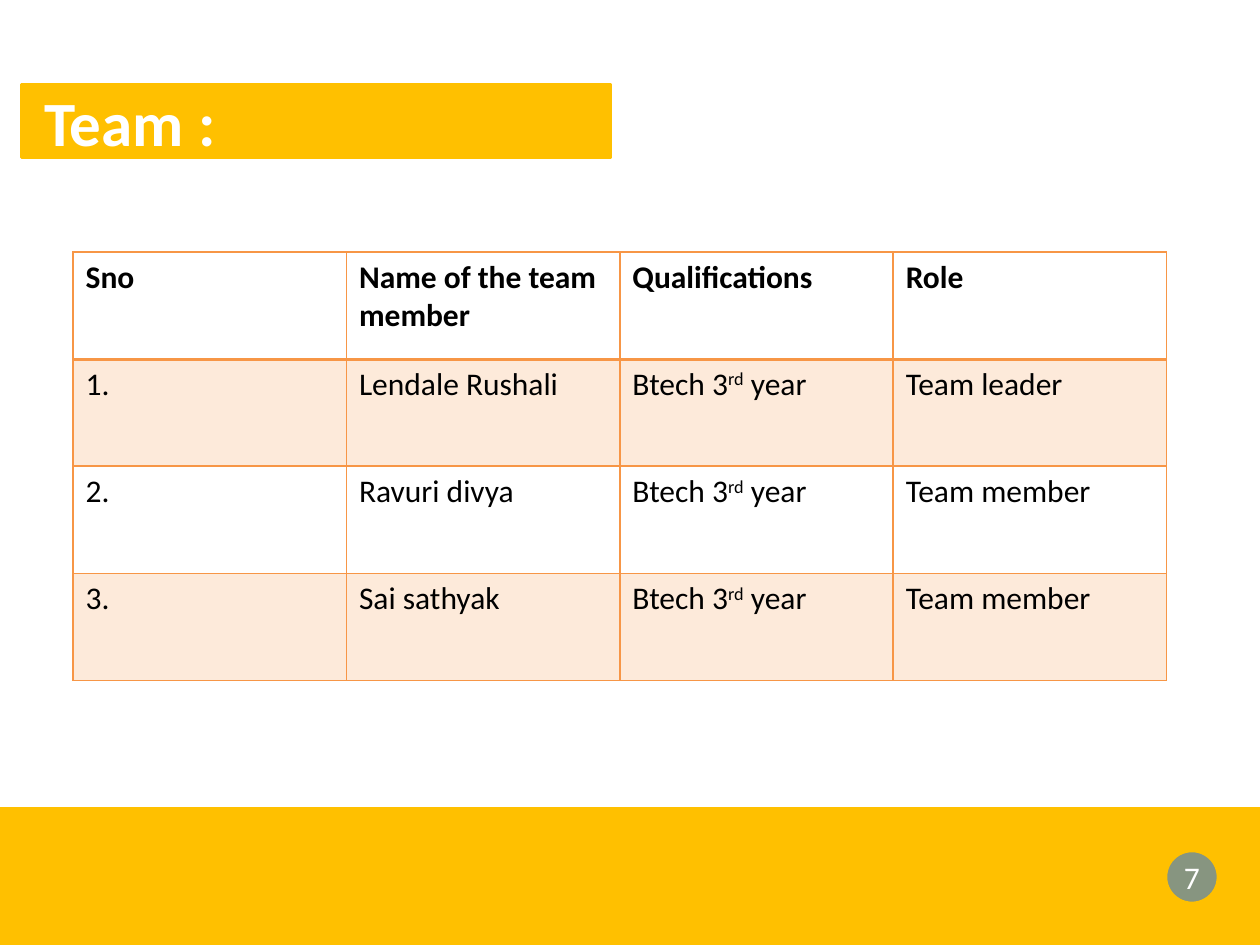
from dataclasses import dataclass

from lxml.etree import SubElement
from pptx import Presentation
from pptx.dml.color import RGBColor
from pptx.enum.shapes import MSO_SHAPE
from pptx.enum.text import MSO_ANCHOR, MSO_AUTO_SIZE, PP_ALIGN
from pptx.oxml.ns import qn
from pptx.util import Inches, Pt

COLORS = {
    "gold": "FFC000",
    "orange": "F79646",
    "blue": "4F81BD",
    "white": "FFFFFF",
    "black": "000000",
}
FONT = "Calibri"
HEADINGS = ("Sno", "Name of the team member", "Qualifications", "Role")
COLUMN_WIDTH = 2.17
ROW_HEIGHT = 0.85


@dataclass
class Member:
    name: str
    role: str
    qualification: tuple[str, str, str] = ("Btech 3", "rd", " year")


MEMBERS = [
    Member("Lendale Rushali", "Team leader"),
    Member("Ravuri divya", "Team member"),
    Member("Sai sathyak", "Team member"),
]


def rgb(name: str) -> RGBColor:
    return RGBColor.from_string(COLORS[name])


def style_runs(paragraph, size: int, color: str, bold: bool = False) -> None:
    for run in paragraph.runs:
        run.font.name = FONT
        run.font.size = Pt(size)
        run.font.bold = bold
        run.font.color.rgb = rgb(color)


def paint(shape, color: str) -> None:
    shape.fill.solid()
    shape.fill.fore_color.rgb = rgb(color)
    shape.line.color.rgb = rgb("gold")
    shape.line.width = Pt(2)


def set_opacity(properties, percent: int) -> None:
    color = properties.find(qn("a:solidFill")).find(qn("a:srgbClr"))
    SubElement(color, qn("a:alpha")).set("val", str(percent * 1000))


def add_gold_shape(slide, kind, left: float, top: float, width: float, height: float, color: str):
    shape = slide.shapes.add_shape(kind, Inches(left), Inches(top), Inches(width), Inches(height))
    shape.shadow.inherit = False
    paint(shape, color)
    return shape


def add_title(slide) -> None:
    title = slide.shapes.title
    title.left, title.top = Inches(0.17), Inches(0.67)
    title.width, title.height = Inches(4.67), Inches(0.58)
    paint(title, "gold")
    frame = title.text_frame
    frame.text = "Team :"
    frame.auto_size = MSO_AUTO_SIZE.NONE
    frame.vertical_anchor = MSO_ANCHOR.MIDDLE
    frame.margin_left = Inches(0.18)
    frame.paragraphs[0].alignment = PP_ALIGN.LEFT
    style_runs(frame.paragraphs[0], 36, "white", bold=True)


def add_borders(cell, bottom_width: int) -> None:
    properties = cell._tc.get_or_add_tcPr()
    for side, width in (("L", 1), ("R", 1), ("T", 1), ("B", bottom_width)):
        border = SubElement(properties, qn(f"a:ln{side}"), w=str(Pt(width)))
        fill = SubElement(border, qn("a:solidFill"))
        SubElement(fill, qn("a:srgbClr"), val=COLORS["orange"])


def fill_cell(cell, content: str | tuple[str, str, str], row: int) -> None:
    paragraph = cell.text_frame.paragraphs[0]
    if isinstance(content, str):
        paragraph.text = content
    else:
        for part in content:
            paragraph.add_run().text = part
        paragraph.runs[1]._r.get_or_add_rPr().set("baseline", "30000")
    style_runs(paragraph, 18, "black", bold=row == 0)
    add_borders(cell, 2 if row == 0 else 1)
    if row % 2:
        cell.fill.solid()
        cell.fill.fore_color.rgb = rgb("orange")
        set_opacity(cell._tc.tcPr, 20)
    else:
        cell.fill.background()


def add_team_table(slide) -> None:
    rows = [HEADINGS] + [
        (f"{number}.", member.name, member.qualification, member.role)
        for number, member in enumerate(MEMBERS, 1)
    ]
    table = slide.shapes.add_table(
        len(rows), len(HEADINGS), Inches(0.58), Inches(2),
        Inches(COLUMN_WIDTH * len(HEADINGS)), Inches(ROW_HEIGHT * len(rows)),
    ).table
    table.horz_banding = False
    for column in table.columns:
        column.width = Inches(COLUMN_WIDTH)
    for row, contents in enumerate(rows):
        table.rows[row].height = Inches(ROW_HEIGHT)
        for column, content in enumerate(contents):
            fill_cell(table.cell(row, column), content, row)


def add_page_number(slide) -> None:
    badge = add_gold_shape(slide, MSO_SHAPE.OVAL, 9.25, 6.75, 0.42, 0.42, "blue")
    set_opacity(badge._element.spPr, 68)
    frame = badge.text_frame
    frame.text = "7"
    frame.margin_left = frame.margin_right = Inches(0)
    frame.vertical_anchor = MSO_ANCHOR.MIDDLE
    frame.paragraphs[0].alignment = PP_ALIGN.CENTER
    style_runs(frame.paragraphs[0], 18, "white")


def main() -> None:
    presentation = Presentation()
    presentation.slide_width, presentation.slide_height = Inches(10), Inches(7.5)
    slide = presentation.slides.add_slide(presentation.slide_layouts[5])
    add_gold_shape(slide, MSO_SHAPE.RECTANGLE, 0, 6.42, 10, 1.08, "gold")
    add_title(slide)
    add_team_table(slide)
    add_page_number(slide)
    presentation.save("out.pptx")


if __name__ == "__main__":
    main()
